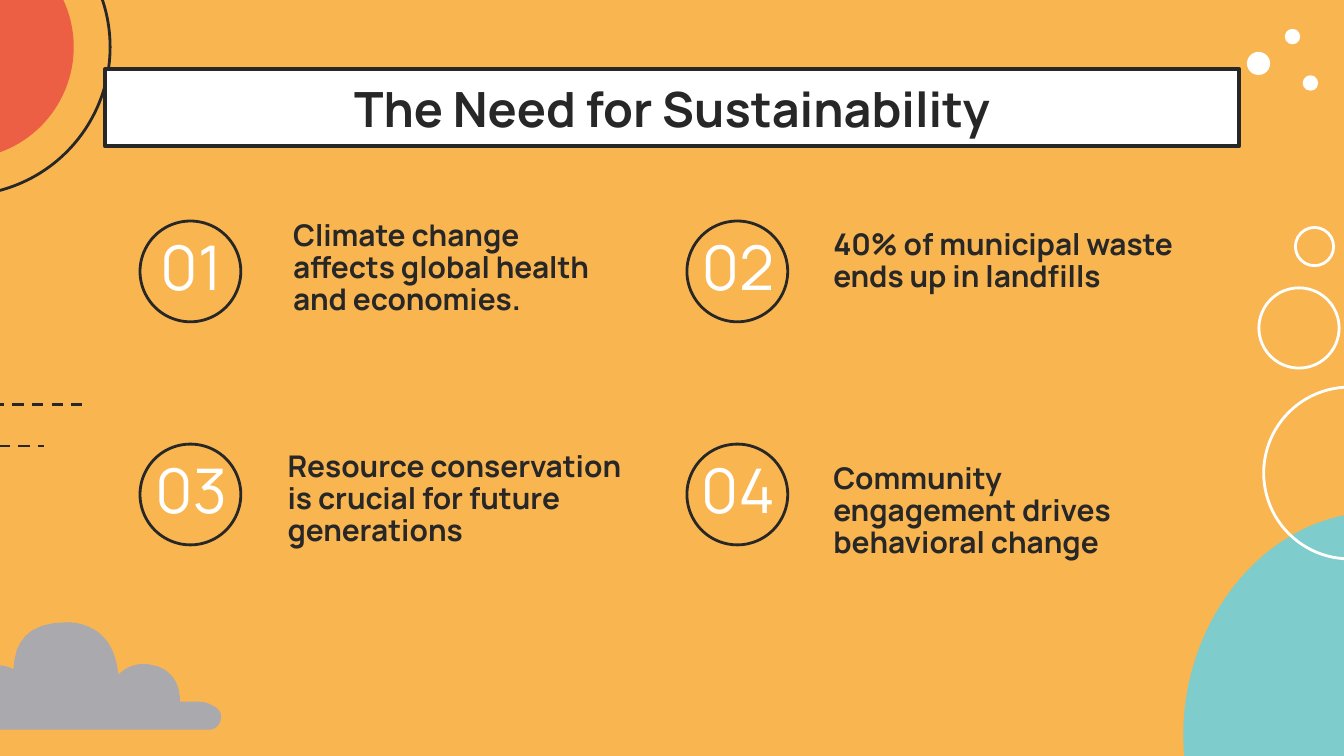
from dataclasses import dataclass
from typing import Optional

from lxml.etree import SubElement
from pptx import Presentation
from pptx.dml.color import RGBColor
from pptx.enum.dml import MSO_LINE
from pptx.enum.shapes import MSO_CONNECTOR, MSO_SHAPE
from pptx.enum.text import MSO_ANCHOR, MSO_AUTO_SIZE, PP_ALIGN
from pptx.oxml.ns import qn
from pptx.util import Pt


@dataclass(frozen=True)
class Theme:
    font: str = "Manrope"
    background: str = "F9B550"
    ink: str = "272727"
    white: str = "FFFFFF"
    sun: str = "EC5F44"
    water: str = "7ECCCC"
    cloud: str = "A9A9AE"
    title_size: float = 26
    number_size: float = 33
    point_size: float = 16
    outline: float = 1.5
    banner_outline: float = 2.25


THEME = Theme()


@dataclass(frozen=True)
class Circle:
    """A circle by its centre, in points."""
    x: float
    y: float
    diameter: float
    fill: Optional[str] = None
    line: Optional[str] = None


@dataclass(frozen=True)
class Point:
    text: str
    left: float
    top: float
    inset: float = 7.2


@dataclass(frozen=True)
class TextStyle:
    size: float
    color: str
    bold: bool
    alignment: PP_ALIGN
    anchor: MSO_ANCHOR
    line_spacing: float = 1.0


TITLE_STYLE = TextStyle(THEME.title_size, THEME.ink, True, PP_ALIGN.CENTER, MSO_ANCHOR.MIDDLE)
NUMBER_STYLE = TextStyle(THEME.number_size, THEME.white, False, PP_ALIGN.CENTER, MSO_ANCHOR.MIDDLE)
POINT_STYLE = TextStyle(THEME.point_size, THEME.ink, True, PP_ALIGN.LEFT, MSO_ANCHOR.TOP, 0.9)

BACKDROP_CIRCLES = [
    Circle(-20.5, 25.2, 159, line=THEME.ink),
    Circle(-20.5, 25.2, 120, fill=THEME.sun),
    Circle(674.2, 34, 12.4, fill=THEME.white),
    Circle(692.4, 19.6, 8.3, fill=THEME.white),
    Circle(702, 44.5, 8.3, fill=THEME.white),
    Circle(723, 253.4, 92, line=THEME.white),
    Circle(695.9, 175.7, 43, line=THEME.white),
    Circle(704.2, 132.1, 20.5, line=THEME.white),
]

POINTS = [
    Point("Climate change affects global health and economies.", 131.8, 110.9, inset=25.2),
    Point("40% of municipal waste ends up in landfills", 439.2, 115.9),
    Point("Resource conservation is crucial for future generations", 146.9, 234.7),
    Point("Community engagement drives behavioral change", 439.2, 241.2),
]
COLUMN_PITCH, ROW_PITCH = 293, 119.5

# Bézier outline: each row holds two control points and an end point.
CLOUD_UNIT = 0.72
CLOUD_START = (50, 463)
CLOUD_CURVES = [
    (20, 463, 11, 478, 10, 498), (6, 496, 2, 495, -1, 495),
    (-11, 495, -20, 501, -21, 515), (-22, 512, -24, 510, -27, 509),
    (-28, 508, -30, 507, -32, 507), (-37, 508, -40, 509, -43, 511),
    (-46, 513, -47, 516, -48, 520), (-50, 514, -55, 511, -60, 509),
    (-62, 509, -65, 508, -67, 508), (-70, 508, -74, 509, -78, 510),
    (-82, 512, -87, 515, -90, 519), (-93, 522, -96, 527, -95, 532),
    (-97, 530, -100, 529, -102, 529), (-105, 529, -107, 530, -109, 531),
    (-110, 532, -111, 533, -111, 534), (-112, 535, -113, 536, -113, 537),
    (-114, 540, -112, 543, -110, 544), (-74, 543, -37, 543, 1, 543),
    (55, 543, 105, 543, 156, 543), (162, 543, 166, 536, 164, 530),
    (163, 529, 162, 527, 160, 526), (158, 525, 156, 524, 154, 523),
    (150, 522, 146, 522, 134, 522), (134, 511, 130, 501, 118, 496),
    (114, 495, 110, 494, 107, 494), (100, 494, 93, 497, 88, 502),
    (87, 491, 84, 480, 75, 472), (68, 466, 59, 463, 50, 463),
]


def style_shape(shape, fill: Optional[str], line: Optional[str], width: float = THEME.outline) -> None:
    shape.shadow.inherit = False
    if fill:
        shape.fill.solid()
        shape.fill.fore_color.rgb = RGBColor.from_string(fill)
    else:
        shape.fill.background()
    if line:
        shape.line.color.rgb = RGBColor.from_string(line)
        shape.line.width = Pt(width)
    else:
        shape.line.fill.background()


def add_circle(slide, circle: Circle) -> None:
    radius = circle.diameter / 2
    shape = slide.shapes.add_shape(
        MSO_SHAPE.OVAL, Pt(circle.x - radius), Pt(circle.y - radius),
        Pt(circle.diameter), Pt(circle.diameter))
    style_shape(shape, circle.fill, circle.line)


def add_dashed_line(slide, start: float, end: float, y: float) -> None:
    line = slide.shapes.add_connector(MSO_CONNECTOR.STRAIGHT, Pt(start), Pt(y), Pt(end), Pt(y))
    line.line.color.rgb = RGBColor.from_string(THEME.ink)
    line.line.width = Pt(THEME.outline)
    line.line.dash_style = MSO_LINE.DASH
    SubElement(line.element.spPr, qn("a:effectLst"))


def add_cloud(slide, steps: int = 8) -> None:
    """Draw the cloud's curves as short straight segments on a 0.01 pt grid."""
    grid = 100 * CLOUD_UNIT
    x0, y0 = CLOUD_START
    builder = slide.shapes.build_freeform(x0 * grid, y0 * grid, scale=Pt(0.01))
    vertices = []
    for x1, y1, x2, y2, x3, y3 in CLOUD_CURVES:
        for step in range(1, steps + 1):
            t = step / steps
            u = 1 - t
            weights = (u ** 3, 3 * u * u * t, 3 * u * t * t, t ** 3)
            vertices.append(tuple(
                grid * sum(w * c for w, c in zip(weights, coordinates))
                for coordinates in ((x0, x1, x2, x3), (y0, y1, y2, y3))))
        x0, y0 = x3, y3
    builder.add_line_segments(vertices, close=True)
    style_shape(builder.convert_to_shape(), THEME.cloud, None)


def place(shape, left: float, top: float, width: float, height: float) -> None:
    shape.left, shape.top, shape.width, shape.height = Pt(left), Pt(top), Pt(width), Pt(height)


def write_text(shape, text: str, style: TextStyle, inset: float = 7.2) -> None:
    frame = shape.text_frame
    frame.word_wrap = True
    frame.auto_size = MSO_AUTO_SIZE.NONE
    frame.vertical_anchor = style.anchor
    frame.margin_left = Pt(inset)
    frame.margin_right = frame.margin_top = frame.margin_bottom = Pt(7.2)
    paragraph = frame.paragraphs[0]
    paragraph.alignment = style.alignment
    paragraph.line_spacing = style.line_spacing
    paragraph.space_before = Pt(0)
    properties = paragraph._p.get_or_add_pPr()
    properties.set("marL", "0")
    properties.set("indent", "0")
    SubElement(properties, qn("a:buNone"))
    run = paragraph.add_run()
    run.text = text
    run.font.name = THEME.font
    run.font.size = Pt(style.size)
    run.font.bold = style.bold
    run.font.color.rgb = RGBColor.from_string(style.color)


def add_backdrop(slide) -> None:
    slide.background.fill.solid()
    slide.background.fill.fore_color.rgb = RGBColor.from_string(THEME.background)
    water = slide.shapes.add_shape(MSO_SHAPE.OVAL, Pt(635), Pt(273.6), Pt(186.5), Pt(221.8))
    water.rotation = 14
    style_shape(water, THEME.water, None)
    for circle in BACKDROP_CIRCLES:
        add_circle(slide, circle)
    add_dashed_line(slide, -105.8, 23.8, 239)
    add_dashed_line(slide, -46, 45.4, 216.7)
    add_cloud(slide)
    banner = slide.shapes.add_shape(MSO_SHAPE.RECTANGLE, Pt(56.2), Pt(37.2), Pt(607.7), Pt(41))
    style_shape(banner, THEME.white, THEME.ink, THEME.banner_outline)


def main() -> None:
    presentation = Presentation()
    presentation.slide_width, presentation.slide_height = Pt(720), Pt(405)
    slide = presentation.slides.add_slide(presentation.slide_layouts.get_by_name("Comparison"))
    title, *bodies = [slide.placeholders[index] for index in range(5)]
    add_backdrop(slide)
    for placeholder in (title, *bodies):
        slide.shapes.element.append(placeholder.element)  # bring in front of the backdrop

    place(title, 77, 35.3, 566.6, 45.4)
    write_text(title, "The Need for Sustainability", TITLE_STYLE)
    for index, (body, point) in enumerate(zip(bodies, POINTS)):
        row, column = divmod(index, 2)
        x, y = column * COLUMN_PITCH, row * ROW_PITCH
        place(body, point.left, point.top, 203.8, 59)
        write_text(body, point.text, POINT_STYLE, point.inset)
        number = slide.shapes.add_textbox(Pt(67 + x), Pt(121.7 + y), Pt(70.6), Pt(41.8))
        write_text(number, f"{index + 1:02}", NUMBER_STYLE)
        add_circle(slide, Circle(102 + x, 145.4 + y, 54, line=THEME.ink))
    presentation.save("out.pptx")


if __name__ == "__main__":
    main()
